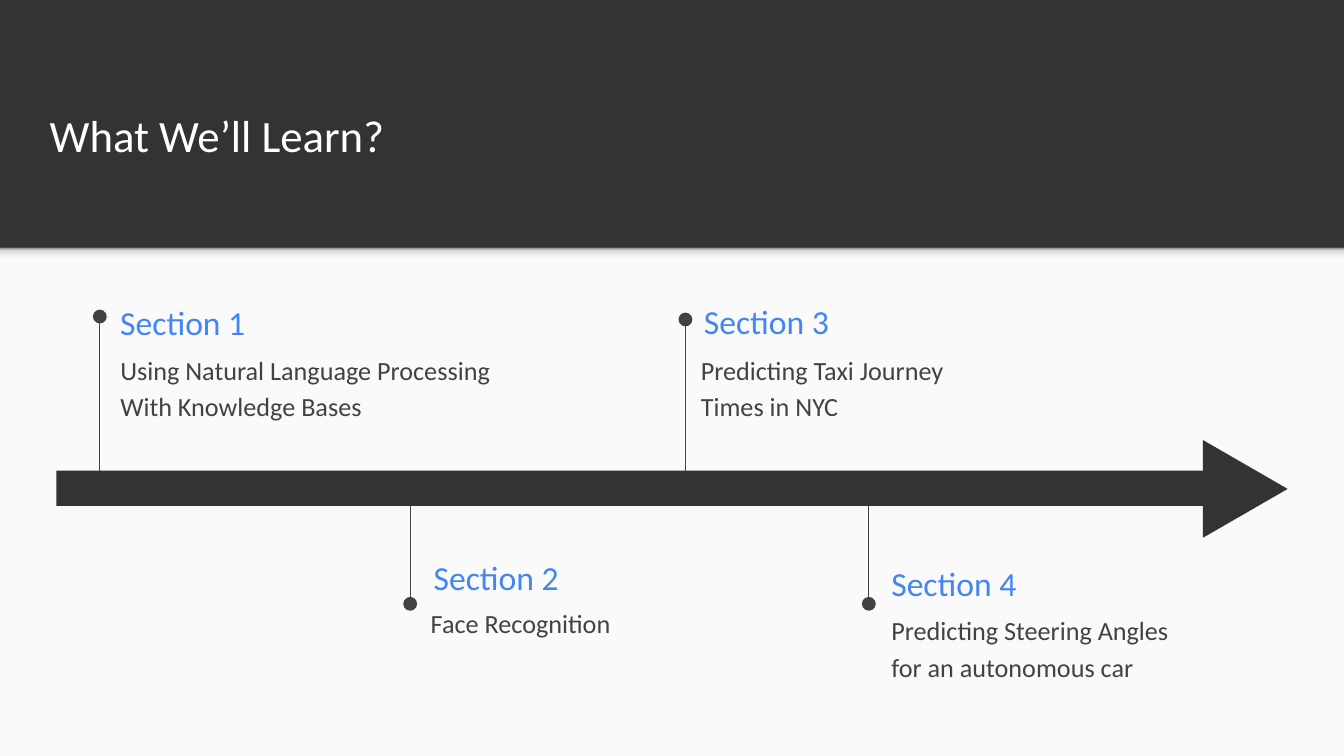
"""Build the course outline slide with four sections along a timeline arrow."""
from pptx import Presentation
from pptx.dml.color import RGBColor
from pptx.enum.shapes import MSO_CONNECTOR, MSO_SHAPE
from pptx.enum.text import MSO_ANCHOR, MSO_AUTO_SIZE, PP_ALIGN
from pptx.oxml import parse_xml
from pptx.oxml.ns import nsdecls, qn
from pptx.util import Pt

TITLE = "What We’ll Learn?"
SECTIONS = [
    {"name": "Section 1", "topic": "Using Natural Language Processing With Knowledge Bases",
     "stem": (71.3, 226.1), "heading": (76.3, 209.5, 191), "body": (76.3, 239.8, 292)},
    {"name": "Section 2", "topic": "Face Recognition",
     "stem": (293, 431.3), "heading": (300.2, 391.7, 244), "body": (298.1, 421.2, 261)},
    {"name": "Section 3", "topic": "Predicting Taxi Journey Times in NYC",
     "stem": (489.6, 228.2), "heading": (493.2, 208.8, 191), "body": (491, 239.8, 212)},
    {"name": "Section 4", "topic": "Predicting Steering Angles for an autonomous car",
     "stem": (620.6, 431.3), "heading": (627.1, 396, 244), "body": (627.1, 426.2, 232)},
]

DARK = RGBColor(0x33, 0x33, 0x33)
PAPER = RGBColor(0xFA, 0xFA, 0xFA)
GREY = RGBColor(0x42, 0x42, 0x42)
BLUE = RGBColor(0x42, 0x85, 0xF4)
WHITE = RGBColor(0xFF, 0xFF, 0xFF)
SHADE_STOPS = [(0, "F9F9F9"), (36, "F9F9F9"), (80, "DEDEDE"), (100, "999999")]

WIDTH, HEIGHT = 960, 540
PANEL_TOP = 177.1
BAR_TOP, BAR_HEIGHT = 336.2, 25.2
HEADING_HEIGHT, BODY_HEIGHT = 41, 60.5
INSET = 9.6

TITLE_STYLE = {"name": "Calibri", "size": Pt(32), "color": WHITE}
HEADING_STYLE = {"name": "Calibri", "size": Pt(24), "color": BLUE}
BODY_STYLE = {"name": "Calibri", "size": Pt(18.7), "color": GREY}
BODY_SPACING = {"line_spacing": 1.15, "space_after": Pt(16)}


def add_block(page, kind, area, color):
    block = page.shapes.add_shape(kind, *map(Pt, area))
    block.shadow.inherit = False
    block.fill.solid()
    block.fill.fore_color.rgb = color
    block.line.fill.background()
    return block


def write_text(box, text, style, anchor, spacing=None):
    frame = box.text_frame
    frame_format = {"word_wrap": True, "auto_size": MSO_AUTO_SIZE.NONE, "vertical_anchor": anchor}
    frame_format |= {f"margin_{side}": Pt(INSET) for side in ("left", "top", "right", "bottom")}
    for name, value in frame_format.items():
        setattr(frame, name, value)
    para = frame.paragraphs[0]
    for name, value in {"alignment": PP_ALIGN.LEFT, **(spacing or {})}.items():
        setattr(para, name, value)
    span = para.add_run()
    span.text = text
    for name, value in style.items():
        if name == "color":
            span.font.color.rgb = value
        else:
            setattr(span.font, name, value)


def add_text(page, area, *content):
    write_text(page.shapes.add_textbox(*map(Pt, area)), *content)


def add_stem(page, x, dot_y):
    start_y = BAR_TOP if dot_y < BAR_TOP else BAR_TOP + BAR_HEIGHT
    stem = page.shapes.add_connector(MSO_CONNECTOR.STRAIGHT, Pt(x), Pt(start_y), Pt(x), Pt(dot_y))
    stem.line.color.rgb = GREY
    stem.line.width = Pt(0.75)
    stem.line._get_or_add_ln().append(
        parse_xml(f'<a:tailEnd {nsdecls("a")} type="oval" w="lg" len="lg"/>'))
    stem._element.spPr.append(parse_xml(f'<a:effectLst {nsdecls("a")}/>'))


def add_shade(page):
    shade = add_block(page, MSO_SHAPE.RECTANGLE, (0, PANEL_TOP, WIDTH, 11.5), PAPER)
    shade.fill.gradient()
    shade.fill.gradient_angle = 90
    stops = shade._element.spPr.find(qn("a:gradFill")).find(qn("a:gsLst"))
    for stop in list(stops):
        stops.remove(stop)
    for percent, color in SHADE_STOPS:
        stops.append(parse_xml(
            f'<a:gs {nsdecls("a")} pos="{percent * 1000}"><a:srgbClr val="{color}"/></a:gs>'))


def main():
    deck = Presentation()
    deck.slide_width, deck.slide_height = Pt(WIDTH), Pt(HEIGHT)
    page = deck.slides.add_slide(deck.slide_layouts[5])
    page.background.fill.solid()
    page.background.fill.fore_color.rgb = DARK

    title = page.shapes.title
    title.left, title.top, title.width, title.height = map(Pt, (25.9, 44.6, 863.3, 80.6))
    write_text(title, TITLE, TITLE_STYLE, MSO_ANCHOR.BOTTOM)

    add_block(page, MSO_SHAPE.RECTANGLE, (0, PANEL_TOP, WIDTH, HEIGHT - PANEL_TOP), PAPER)
    add_shade(page)
    arrow_head = add_block(page, MSO_SHAPE.ISOSCELES_TRIANGLE, (854.6, 319, 69.8, 60.5), DARK)
    arrow_head.rotation = 90
    add_block(page, MSO_SHAPE.RECTANGLE, (40.3, BAR_TOP, 830.2, BAR_HEIGHT), DARK)

    for section in SECTIONS:
        add_stem(page, *section["stem"])
        add_text(page, (*section["heading"], HEADING_HEIGHT),
                 section["name"], HEADING_STYLE, MSO_ANCHOR.MIDDLE)
        add_text(page, (*section["body"], BODY_HEIGHT),
                 section["topic"], BODY_STYLE, MSO_ANCHOR.TOP, BODY_SPACING)

    deck.save("out.pptx")


if __name__ == "__main__":
    main()
